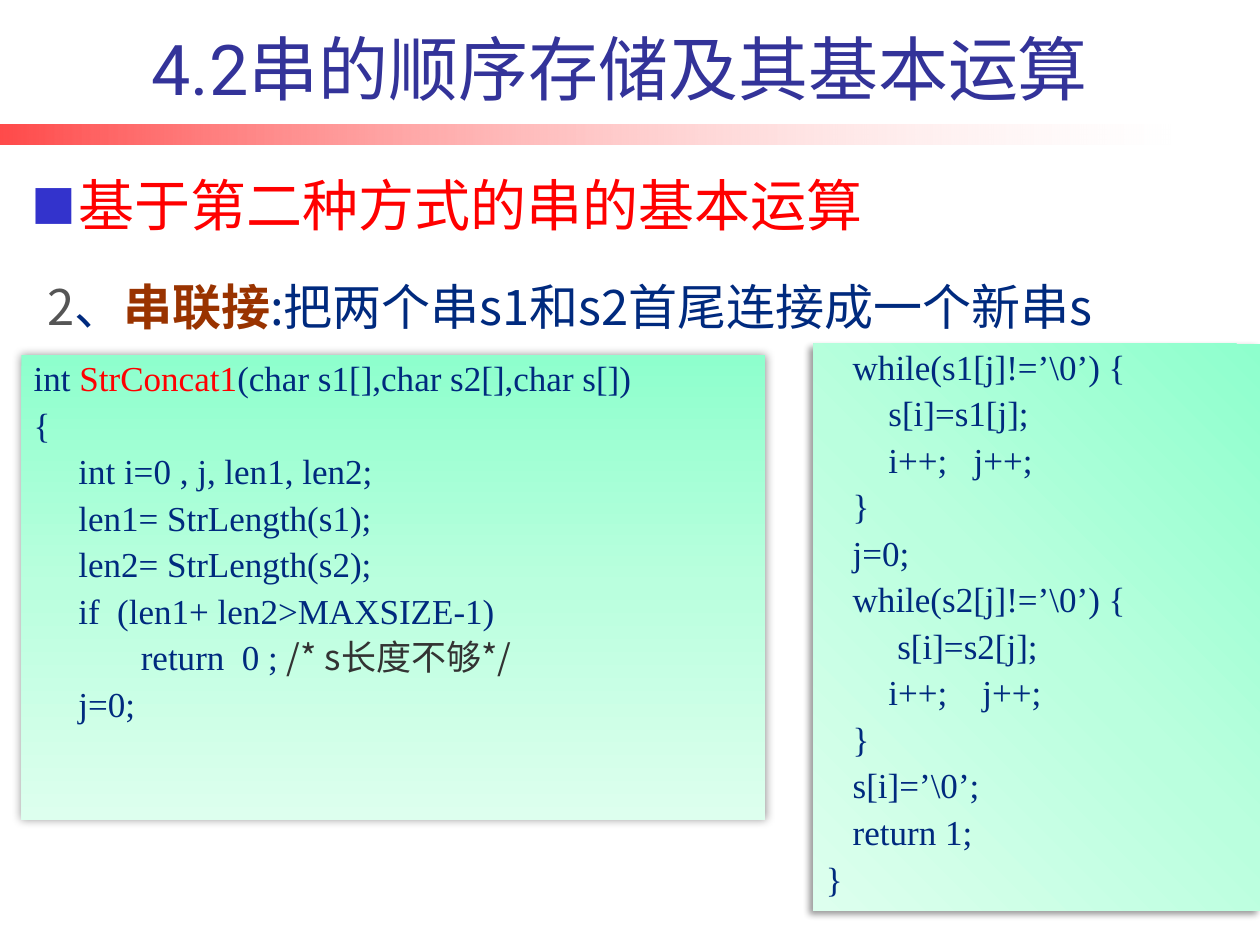
from pptx import Presentation
from pptx.dml.color import RGBColor as Color
from pptx.enum.shapes import MSO_SHAPE as Shape
from pptx.enum.text import MSO_ANCHOR as Anchor, MSO_AUTO_SIZE as AutoSize, PP_ALIGN as Align
from pptx.oxml import parse_xml
from pptx.oxml.ns import nsdecls, qn
from pptx.util import Cm, Pt

INDIGO = Color(0x33, 0x33, 0x99)
BULLET_BLUE = Color(0x33, 0x33, 0xCC)
NAVY = Color(0x00, 0x2A, 0x7E)
RED = Color(0xFF, 0x00, 0x00)
WHITE = Color(0xFF, 0xFF, 0xFF)
BROWN = Color(0x99, 0x33, 0x00)
GRAY = Color(0x55, 0x55, 0x55)
DARK = Color(0x33, 0x33, 0x33)
MINTS = [(0, Color(0x8E, 0xFF, 0xCD), 100), (50, Color(0xBA, 0xFF, 0xDE), 100),
         (100, Color(0xDD, 0xFF, 0xEE), 100)]
FADE = [(0, RED, 71), (100, WHITE, 18)]
SANS, TITLE_FONT, CODE_FONT = "Noto Sans CJK SC", "Roboto", "Times New Roman"
CODE_SPACE = 0.18

CONCAT_START = [
    (0, [("int ", NAVY), ("StrConcat1", RED), ("(char s1[],char s2[],char s[])", NAVY)]),
    (0, "{"),
    (5, "int i=0 , j, len1, len2;"),
    (5, "len1= StrLength(s1);"),
    (5, "len2= StrLength(s2);"),
    (5, "if  (len1+ len2>MAXSIZE-1)"),
    (12, [("return  0 ; ", NAVY), ("/* s长度不够*/", DARK, SANS)]),
    (5, "j=0;"),
]
CONCAT_END = [
    (3, "while(s1[j]!=’\\0’) {"),
    (7, "s[i]=s1[j];"),
    (7, "i++;   j++;"),
    (3, "}"),
    (3, "j=0;"),
    (3, "while(s2[j]!=’\\0’) {"),
    (8, "s[i]=s2[j];"),
    (7, "i++;    j++;"),
    (3, "}"),
    (3, "s[i]=’\\0’;"),
    (3, "return 1;"),
    (0, "}"),
]


def apply(target, values):
    """Set each attribute named in values on target."""
    for name, value in values.items():
        setattr(target, name, value)


class Lesson:
    """Hold the style and the current slide."""

    def __init__(self, presentation):
        """Add a title-only slide."""
        self.slide = presentation.slides.add_slide(presentation.slide_layouts[5])

    def fill_text(self, paragraph, runs, size, font, **layout):
        """Put (text, colour[, font[, bold]]) runs into a paragraph."""
        apply(paragraph, layout)
        for text, color, *rest in runs:
            run = paragraph.add_run()
            run.text = text
            face = rest[0] if rest else font
            apply(run.font, {"name": face, "size": Pt(size), "bold": len(rest) > 1})
            run.font.color.rgb = color
            run.font._element.append(parse_xml(f'<a:ea {nsdecls("a")} typeface="{SANS}"/>'))

    def title(self, text, left, top, width, height):
        """Place and format the title."""
        title = self.slide.shapes.title
        apply(title, {"left": Cm(left), "top": Cm(top), "width": Cm(width), "height": Cm(height)})
        apply(title.text_frame, {"vertical_anchor": Anchor.BOTTOM, "auto_size": AutoSize.NONE})
        self.fill_text(title.text_frame.paragraphs[0], [(text, INDIGO)], 40, TITLE_FONT,
                       alignment=Align.CENTER)

    def line(self, runs, size, spacing, box, anchor=Anchor.TOP, bullet=False):
        """Add a one-paragraph text box, with an optional square bullet."""
        frame = self.slide.shapes.add_textbox(*map(Cm, box)).text_frame
        apply(frame, {"word_wrap": True, "vertical_anchor": anchor})
        paragraph = frame.paragraphs[0]
        self.fill_text(paragraph, runs, size, SANS, line_spacing=spacing,
                       space_before=Pt(size / 4))
        properties = paragraph._p.get_or_add_pPr()
        properties.set("marL", str(Cm(0.95)))
        properties.set("indent", str(Cm(-0.95)))
        if bullet:
            for tag in (f'buClr {nsdecls("a")}><a:srgbClr val="{BULLET_BLUE}"/></a:buClr',
                        f'buSzPct {nsdecls("a")} val="80000"/',
                        f'buFont {nsdecls("a")} typeface="{SANS}"/',
                        f'buChar {nsdecls("a")} char="■"/'):
                properties.append(parse_xml(f"<a:{tag}>"))

    def panel(self, box, stops, angle):
        """Add a rectangle with a linear gradient and no outline."""
        shape = self.slide.shapes.add_shape(Shape.RECTANGLE, *map(Cm, box))
        shape.shadow.inherit = False
        shape.line.fill.background()
        shape.fill.background()
        marks = "".join(
            f'<a:gs pos="{position * 1000}"><a:srgbClr val="{color}">'
            f'<a:alpha val="{alpha * 1000}"/></a:srgbClr></a:gs>'
            for position, color, alpha in stops)
        properties = shape._element.spPr
        properties.replace(properties.find(qn("a:noFill")), parse_xml(
            f'<a:gradFill {nsdecls("a")} rotWithShape="1"><a:gsLst>{marks}</a:gsLst>'
            f'<a:lin ang="{angle * 60000}" scaled="0"/></a:gradFill>'))
        return shape

    def code(self, box, lines, angle, blur, distance, direction):
        """Add a shadowed panel of code lines."""
        shape = self.panel(box, MINTS, angle)
        shape._element.spPr.find(qn("a:effectLst")).append(parse_xml(
            f'<a:outerShdw {nsdecls("a")} blurRad="{Pt(blur)}" dist="{Pt(distance)}" '
            f'dir="{direction * 60000}" algn="ctr" rotWithShape="0"><a:srgbClr val="000000">'
            f'<a:alpha val="40000"/></a:srgbClr></a:outerShdw>'))
        frame = shape.text_frame
        apply(frame, {"word_wrap": True, "vertical_anchor": Anchor.TOP})
        for number, (spaces, content) in enumerate(lines):
            paragraph = frame.add_paragraph() if number else frame.paragraphs[0]
            runs = [(content, NAVY)] if isinstance(content, str) else content
            self.fill_text(paragraph, runs, 20, CODE_FONT, alignment=Align.LEFT,
                           line_spacing=0.9, space_before=Pt(5))
            paragraph._p.get_or_add_pPr().set("marL", str(Cm(spaces * CODE_SPACE)))


presentation = Presentation()
apply(presentation, {"slide_width": Cm(25.4), "slide_height": Cm(19.05)})
lesson = Lesson(presentation)
lesson.panel((0, 2.52, 23.6, 0.4), FADE, 0)
lesson.line([("基于第二种方式的串的基本运算", RED)], 32, 1.15,
            (0.38, 2.92, 22.8, 2), Anchor.BOTTOM, bullet=True)
lesson.title(" 4.2串的顺序存储及其基本运算", 1.5, 0.53, 21.64, 1.8)
lesson.line([("2", GRAY), ("、", NAVY), ("串联接", BROWN, SANS, True),
             (":把两个串s1和s2首尾连接成一个新串s", NAVY)], 28, 1.25, (0.71, 5.16, 24, 1.78))
lesson.code((0.43, 7.16, 15, 9.37), CONCAT_START, 90, 5, 0, 0)
lesson.code((16.4, 6.93, 9, 11.43), CONCAT_END, 135, 4, 3, 135)
presentation.save("out.pptx")
